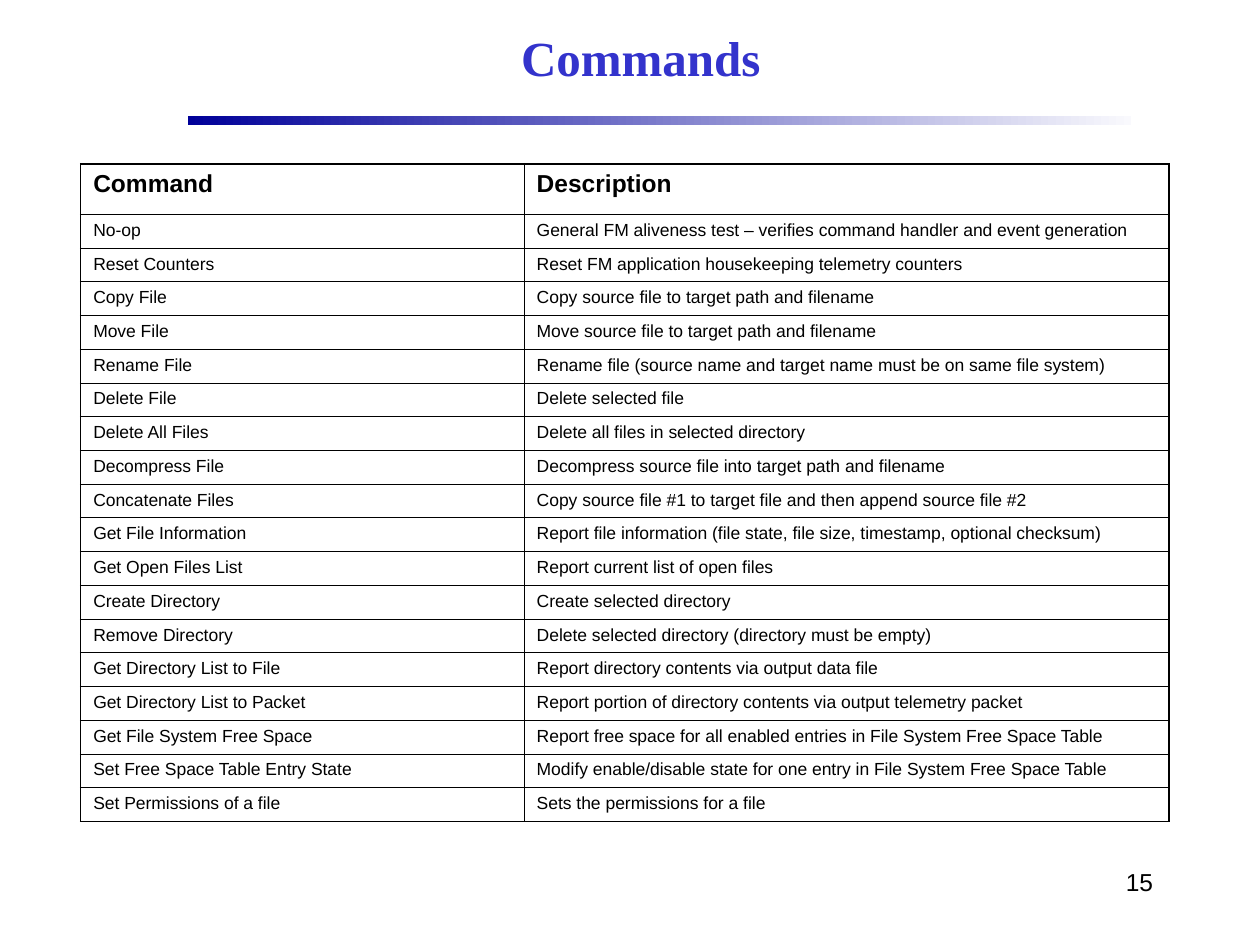
from lxml import etree
from pptx import Presentation
from pptx.dml.color import RGBColor
from pptx.enum.shapes import MSO_SHAPE
from pptx.enum.text import MSO_ANCHOR, PP_ALIGN
from pptx.oxml.ns import qn
from pptx.util import Inches, Pt

RECTANGLE = MSO_SHAPE.RECTANGLE
MIDDLE = MSO_ANCHOR.MIDDLE
CENTER, RIGHT = PP_ALIGN.CENTER, PP_ALIGN.RIGHT

COLORS = {
    "title": "3333CC",
    "text": "000000",
    "border": "000000",
    "rule_start": "000099",
    "rule_end": "F9F9FD",
}
TITLE_FONT, BODY_FONT = "Times New Roman", "Arial"
TITLE_ONLY = 5

# Table grid, in inches
TABLE_LEFT, TABLE_TOP, TABLE_HEIGHT = 0.64, 1.3, 5.22
COLUMN_WIDTHS = (3.52, 5.12)
HEADER_HEIGHT = 0.4
OUTER_LINE, INNER_LINE = 1.08, 0.45

HEADINGS = ("Command", "Description")
COMMANDS = [
    ("No-op", "General FM aliveness test – verifies command handler and event generation"),
    ("Reset Counters", "Reset FM application housekeeping telemetry counters"),
    ("Copy File", "Copy source file to target path and filename"),
    ("Move File", "Move source file to target path and filename"),
    ("Rename File", "Rename file (source name and target name must be on same file system)"),
    ("Delete File", "Delete selected file"),
    ("Delete All Files", "Delete all files in selected directory"),
    ("Decompress File", "Decompress source file into target path and filename"),
    ("Concatenate Files", "Copy source file #1 to target file and then append source file #2"),
    ("Get File Information",
     "Report file information (file state, file size, timestamp, optional checksum)"),
    ("Get Open Files List", "Report current list of open files"),
    ("Create Directory", "Create selected directory"),
    ("Remove Directory", "Delete selected directory (directory must be empty)"),
    ("Get Directory List to File", "Report directory contents via output data file"),
    ("Get Directory List to Packet",
     "Report portion of directory contents via output telemetry packet"),
    ("Get File System Free Space",
     "Report free space for all enabled entries in File System Free Space Table"),
    ("Set Free Space Table Entry State",
     "Modify enable/disable state for one entry in File System Free Space Table"),
    ("Set Permissions of a file", "Sets the permissions for a file"),
]


def color(name):
    return RGBColor.from_string(COLORS[name])


def write(frame, text, size, font=BODY_FONT, ink="text", bold=False, align=None):
    frame.text = text
    paragraph = frame.paragraphs[0]
    paragraph.alignment = align
    run_font = paragraph.runs[0].font
    run_font.name, run_font.size, run_font.bold = font, Pt(size), bold
    run_font.color.rgb = color(ink)


def add_title(slide, text):
    title = slide.shapes.title
    title.left, title.top = Inches(1.5), Inches(0.08)
    title.width, title.height = Inches(7.17), Inches(0.75)
    title.text_frame.vertical_anchor = MIDDLE
    write(title.text_frame, text, 28, TITLE_FONT, "title", True, CENTER)


def add_gradient_rule(slide):
    rule = slide.shapes.add_shape(
        RECTANGLE, Inches(1.49), Inches(0.92), Inches(7.49), Inches(0.07))
    rule.shadow.inherit = False
    rule.line.fill.background()
    rule.fill.gradient()
    rule.fill.gradient_angle = 0
    for stop, name in zip(rule.fill.gradient_stops, ("rule_start", "rule_end")):
        stop.color.rgb = color(name)


def set_borders(cell, widths):
    """Draw the cell's edges; widths maps L, R, T, B (in that order) to points."""
    properties = cell._tc.get_or_add_tcPr()
    for side, width in widths.items():
        line = etree.SubElement(properties, qn(f"a:ln{side}"), w=str(Pt(width)))
        fill = etree.SubElement(line, qn("a:solidFill"))
        etree.SubElement(fill, qn("a:srgbClr"), val=COLORS["border"])


def add_command_table(slide):
    rows = [HEADINGS] + COMMANDS
    last_row, last_column = len(rows) - 1, len(HEADINGS) - 1
    table = slide.shapes.add_table(
        len(rows), len(HEADINGS), Inches(TABLE_LEFT), Inches(TABLE_TOP),
        Inches(sum(COLUMN_WIDTHS)), Inches(TABLE_HEIGHT)).table
    table.first_row = table.horz_banding = False

    for column, width in zip(table.columns, COLUMN_WIDTHS):
        column.width = Inches(width)
    command_height = (TABLE_HEIGHT - HEADER_HEIGHT) / len(COMMANDS)

    for r, texts in enumerate(rows):
        is_header = r == 0
        table.rows[r].height = Inches(HEADER_HEIGHT if is_header else command_height)
        for c, text in enumerate(texts):
            cell = table.cell(r, c)
            write(cell.text_frame, text, 14 if is_header else 10, bold=is_header)
            # Heavy lines only around the outside of the table
            on_edge = {"L": c == 0, "R": c == last_column,
                       "T": is_header, "B": r == last_row}
            set_borders(cell, {side: OUTER_LINE if outer else INNER_LINE
                               for side, outer in on_edge.items()})
            cell.fill.background()


def add_page_number(slide, number):
    box = slide.shapes.add_textbox(
        Inches(7.17), Inches(6.83), Inches(2.08), Inches(0.5))
    box.text_frame.word_wrap = True
    write(box.text_frame, number, 14, align=RIGHT)


def main():
    deck = Presentation()
    deck.slide_width, deck.slide_height = Inches(10), Inches(7.5)
    slide = deck.slides.add_slide(deck.slide_layouts[TITLE_ONLY])
    add_gradient_rule(slide)
    add_page_number(slide, "15")
    add_title(slide, "Commands")
    add_command_table(slide)
    deck.save("out.pptx")


if __name__ == "__main__":
    main()
